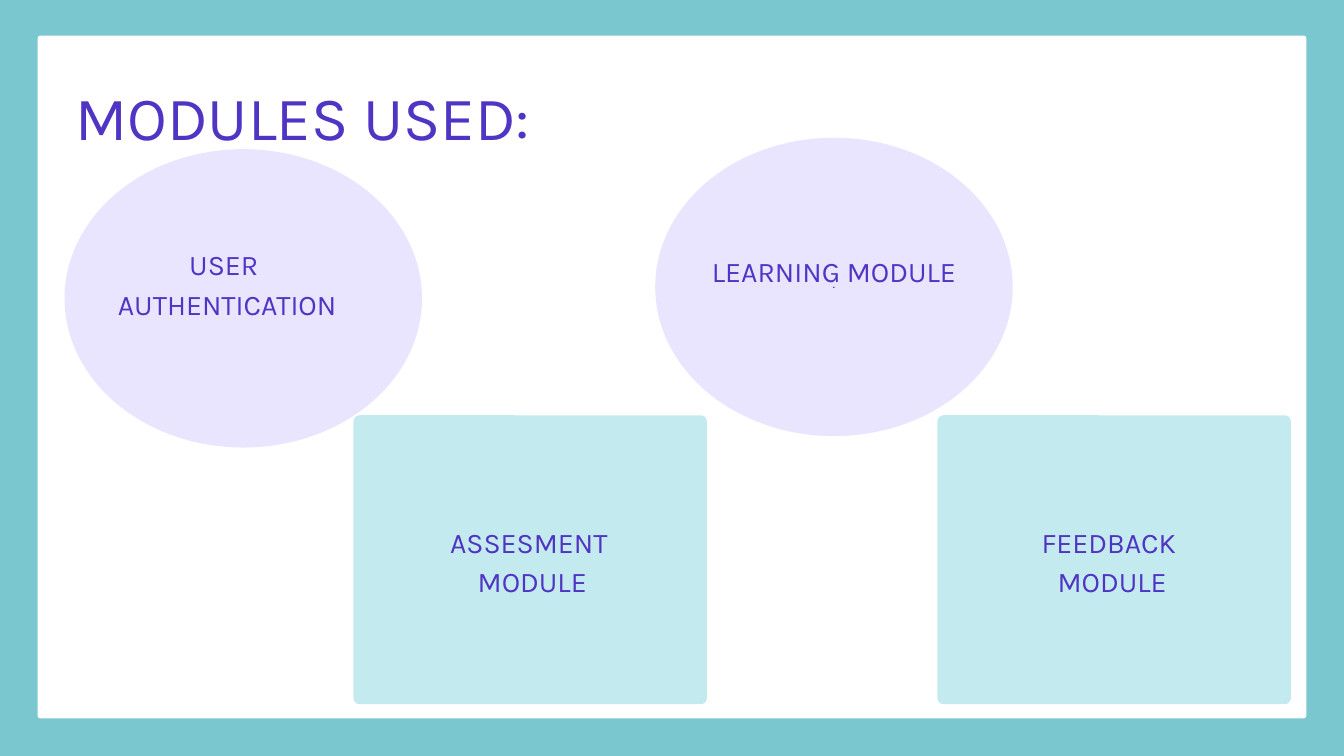
from pptx import Presentation
from pptx.dml.color import RGBColor
from pptx.enum.shapes import MSO_SHAPE
from pptx.enum.text import MSO_ANCHOR, PP_ALIGN
from pptx.util import Inches, Pt

HUES = {"back": "7AC7CF", "panel": "FFFFFF", "card": "C3EBEF", "oval": "EAE5FF", "ink": "5034C4"}
FONT = "Karla"
WIDE = 5.32


class Deck:
    """Holds the style and the current slide, and adds each kind of element."""

    def __init__(self, wide, high):
        self.prs = Presentation()
        self.prs.slide_width, self.prs.slide_height = Inches(wide), Inches(high)
        self.slide = self.prs.slides.add_slide(self.prs.slide_layouts[5])
        self.paint(self.slide.background.fill, "back")

    def paint(self, fill, hue):
        fill.solid()
        fill.fore_color.rgb = RGBColor.from_string(HUES[hue])

    def shape(self, kind, box, hue, curve=None):
        item = self.slide.shapes.add_shape(kind, *map(Inches, box))
        item.shadow.inherit = False
        item.line.fill.background()
        self.paint(item.fill, hue)
        if curve is not None:
            item.adjustments[0] = curve / min(box[2:])

    def text(self, frame, lines, size, space, align, anchor):
        frame.word_wrap = True
        frame.vertical_anchor = anchor
        frame.margin_left = frame.margin_right = frame.margin_top = frame.margin_bottom = 0
        for i, line in enumerate(lines):
            para = frame.add_paragraph() if i else frame.paragraphs[0]
            para.alignment, para.line_spacing = align, Pt(space)
            run = para.add_run()
            run.text = line
            run.font.name, run.font.size = FONT, Pt(size)
            run.font.color.rgb = RGBColor.from_string(HUES["ink"])

    def title(self, words, box):
        item = self.slide.shapes.title
        item.left, item.top, item.width, item.height = map(Inches, box)
        self.text(item.text_frame, [words], 66, 92.4, PP_ALIGN.LEFT, MSO_ANCHOR.TOP)
        self.slide.shapes._spTree.append(item._element)

    def label(self, lines, box, size=30.5, space=42.8, anchor=MSO_ANCHOR.TOP):
        item = self.slide.shapes.add_textbox(*map(Inches, box))
        self.text(item.text_frame, lines, size, space, PP_ALIGN.CENTER, anchor)


def main():
    deck = Deck(20, 11.25)
    deck.shape(MSO_SHAPE.ROUNDED_RECTANGLE, (0.56, 0.53, 18.88, 10.16), "panel", 0.04)
    for left in (5.26, 13.95):
        deck.shape(MSO_SHAPE.ROUNDED_RECTANGLE, (left, 6.18, 5.26, 4.3), "card", 0.09)
    for left, top in ((9.75, 2.05), (0.96, 2.22)):
        deck.shape(MSO_SHAPE.OVAL, (left, top, WIDE, 4.44), "oval")
    deck.label(["."], (10.25, 2.31, 4.32, 3.77), 15, 21, MSO_ANCHOR.MIDDLE)
    deck.title("MODULES USED:", (1.12, 0.99, 7.87, 1.23))
    for lines, left, top in (
        (["USER ", "AUTHENTICATION"], 0.72, 3.59),
        (["ASSESMENT ", "MODULE"], 5.26, 7.72),
        (["LEARNING MODULE"], 9.75, 3.7),
        (["FEEDBACK ", "MODULE"], 13.89, 7.72),
    ):
        deck.label(lines, (left, top, WIDE, 0.59 * len(lines)))
    deck.prs.save("out.pptx")


if __name__ == "__main__":
    main()
